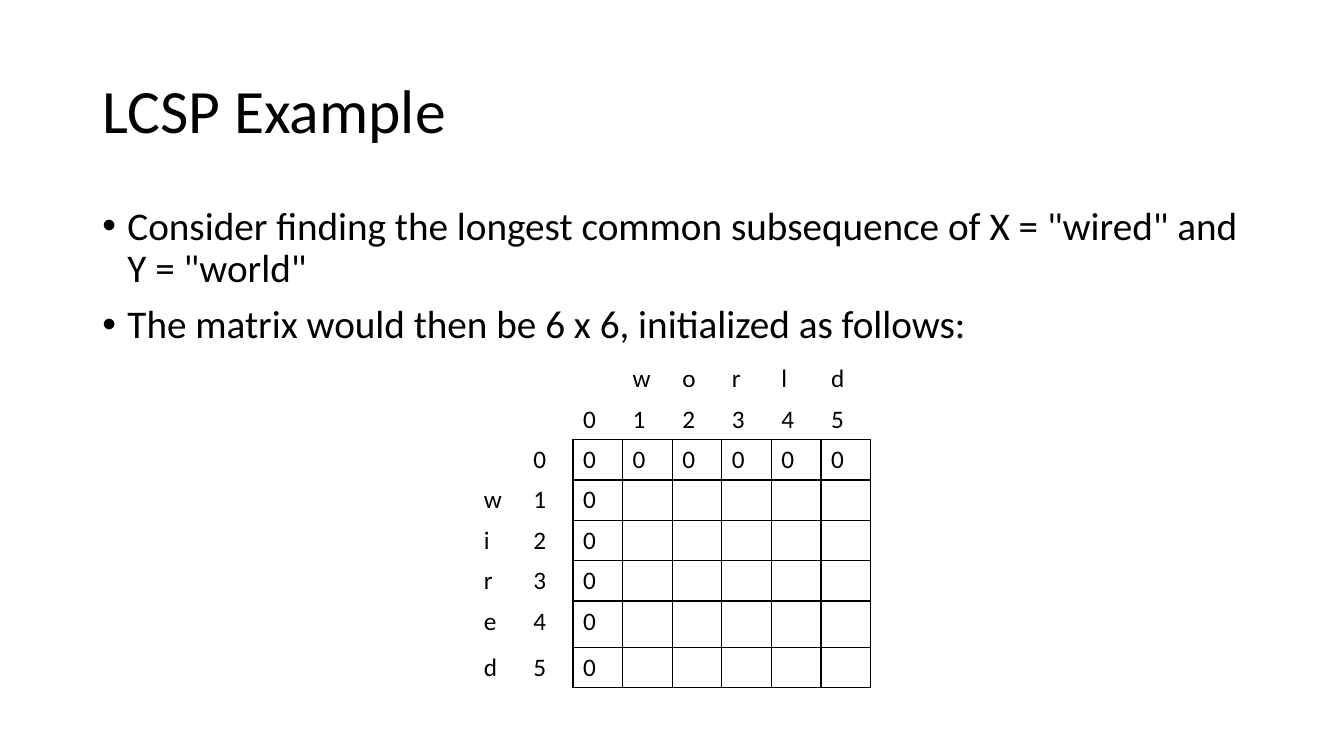
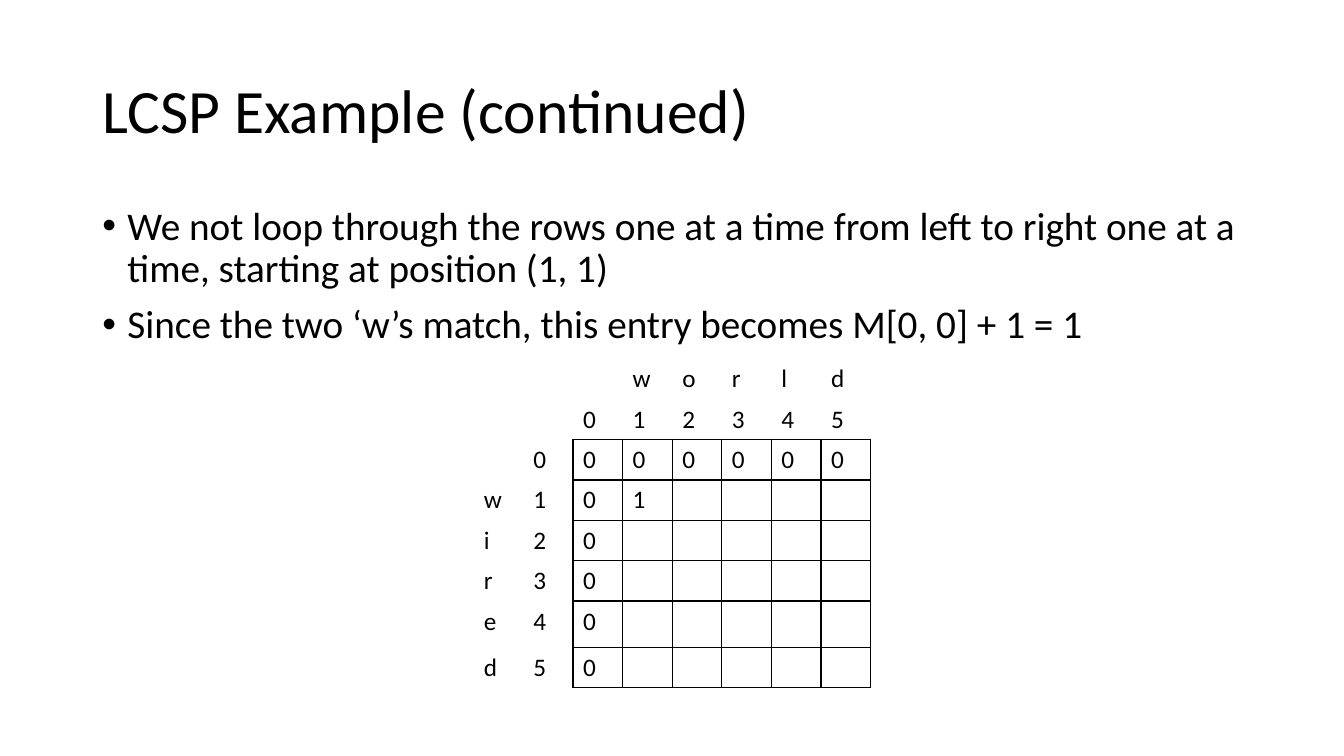
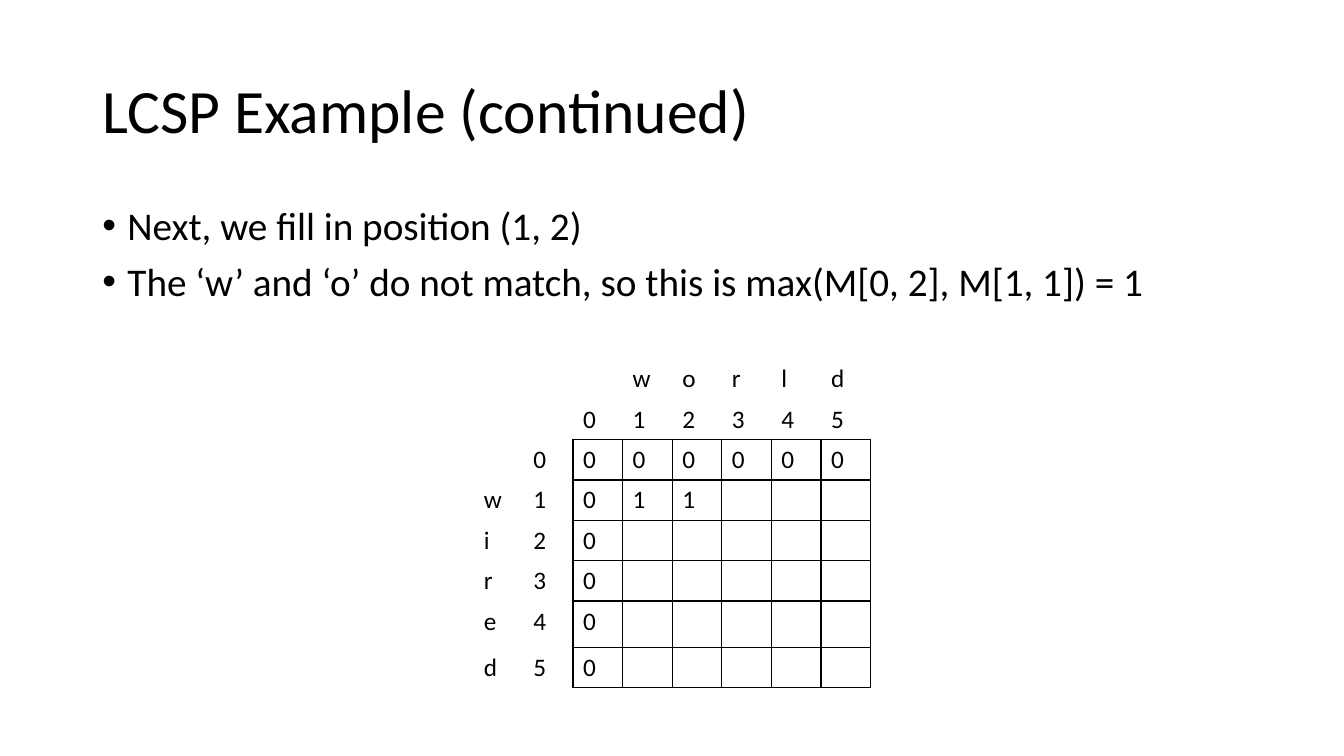
from dataclasses import dataclass, field

from lxml.etree import SubElement
from pptx import Presentation
from pptx.dml.color import RGBColor
from pptx.enum.text import MSO_ANCHOR
from pptx.oxml.ns import qn
from pptx.util import Pt

FONT = "Calibri"
HUES = {"ink": "000000", "page": "FFFFFF"}
LEFT, WIDTH = 66, 828
DOWN, OVER = "wired", "world"
HEAD = 2
COL, ROW, TALL = 35.46, 27.4, 33.1
TALL_ROW = 6


@dataclass
class Page:
    title: str
    points: list[str]
    found: dict[tuple[int, int], int] = field(default_factory=dict)


PAGES = [
    Page("LCSP Example", [
        'Consider finding the longest common subsequence of X = "wired" and Y = "world"',
        "The matrix would then be 6 x 6, initialized as follows:",
    ]),
    Page("LCSP Example (continued)", [
        "We not loop through the rows one at a time from left to right one at a time, starting at position (1, 1)",
        "Since the two ‘w’s match, this entry becomes M[0, 0] + 1 = 1",
    ], {(1, 1): 1}),
    Page("LCSP Example (continued)", [
        "Next, we fill in position (1, 2)",
        "The ‘w’ and ‘o’ do not match, so this is max(M[0, 2], M[1, 1]) = 1",
    ], {(1, 1): 1, (1, 2): 1}),
]


def add_run(para, text: str, size: float) -> None:
    run = para.add_run()
    run.text = text
    run.font.name = FONT
    run.font.size = Pt(size)
    run.font.color.rgb = RGBColor.from_string(HUES["ink"])


def add_box(slide, top: float, high: float, lines: list[str], size: float,
            list_on: bool = False) -> None:
    box = slide.shapes.add_textbox(Pt(LEFT), Pt(top), Pt(WIDTH), Pt(high))
    frame = box.text_frame
    frame.word_wrap = True
    frame.vertical_anchor = MSO_ANCHOR.TOP if list_on else MSO_ANCHOR.MIDDLE
    for num, line in enumerate(lines):
        para = frame.add_paragraph() if num else frame.paragraphs[0]
        para.line_spacing = 0.9
        if list_on:
            para.space_before = Pt(10)
            add_dot(para)
        add_run(para, line, size)


def add_dot(para) -> None:
    props = para._p.get_or_add_pPr()
    props.set("marL", str(Pt(18)))
    props.set("indent", str(Pt(-18)))
    SubElement(props, qn("a:buFont")).set("typeface", "Arial")
    SubElement(props, qn("a:buChar")).set("char", "•")


def cell_text(row: int, col: int, found: dict[tuple[int, int], int]) -> str:
    down, over = row - HEAD, col - HEAD
    if down >= 0 and over >= 0:
        return str(found.get((down, over), "")) if down and over else "0"
    if down < 0 and over < 0:
        return ""
    word, step, band = (OVER, over, row) if down < 0 else (DOWN, down, col)
    if band == 1:
        return str(step)
    return word[step - 1] if step else ""


def set_edges(cell, row: int, col: int) -> None:
    props = cell._tc.get_or_add_tcPr()
    core = row >= HEAD and col >= HEAD
    edges = {
        "lnL": core,
        "lnR": core or (row >= HEAD and col == HEAD - 1),
        "lnT": core,
        "lnB": core or (col >= HEAD and row == HEAD - 1),
    }
    for tag, shown in edges.items():
        line = SubElement(props, qn(f"a:{tag}"), w=str(Pt(1)))
        if shown:
            fill = SubElement(line, qn("a:solidFill"))
            SubElement(fill, qn("a:srgbClr"), val=HUES["ink"])
        else:
            SubElement(line, qn("a:noFill"))
    cell.fill.background()


def add_grid(slide, found: dict[tuple[int, int], int]) -> None:
    rows, cols = len(DOWN) + 1 + HEAD, len(OVER) + 1 + HEAD
    highs = [TALL if row == TALL_ROW else ROW for row in range(rows)]
    table = slide.shapes.add_table(rows, cols, Pt(338.4), Pt(256.3),
                                   Pt(COL * cols), Pt(sum(highs))).table
    table.first_row = table.horz_banding = False
    for col in table.columns:
        col.width = Pt(COL)
    for row, high in enumerate(highs):
        table.rows[row].height = Pt(high)
        for col in range(cols):
            cell = table.cell(row, col)
            text = cell_text(row, col, found)
            if text:
                add_run(cell.text_frame.paragraphs[0], text, 18)
            set_edges(cell, row, col)


def add_page(deck, page: Page) -> None:
    slide = deck.slides.add_slide(deck.slide_layouts[6])
    fill = slide.background.fill
    fill.solid()
    fill.fore_color.rgb = RGBColor.from_string(HUES["page"])
    add_box(slide, 28.75, 104.4, [page.title], 44)
    add_box(slide, 143.75, 342.6, page.points, 28, True)
    add_grid(slide, page.found)


def main() -> None:
    deck = Presentation()
    deck.slide_width, deck.slide_height = Pt(960), Pt(540)
    for page in PAGES:
        add_page(deck, page)
    deck.save("out.pptx")


if __name__ == "__main__":
    main()
